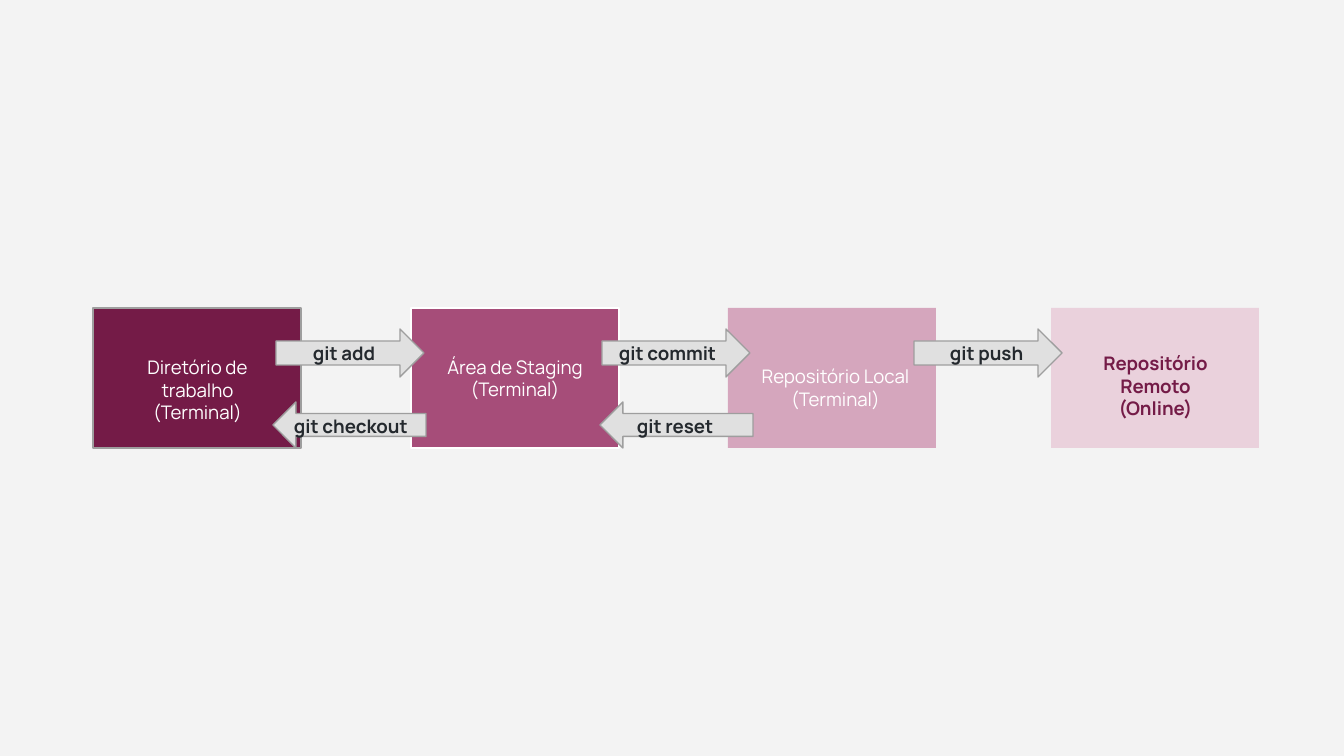
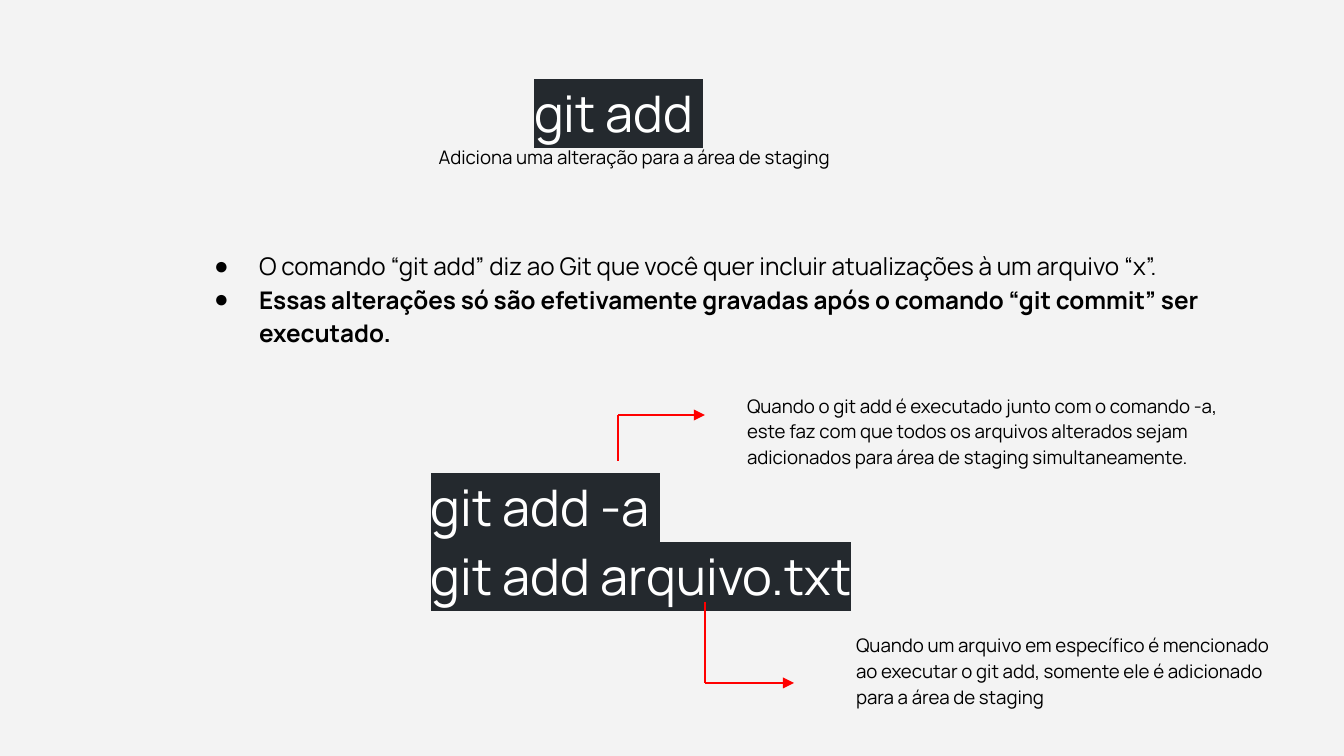
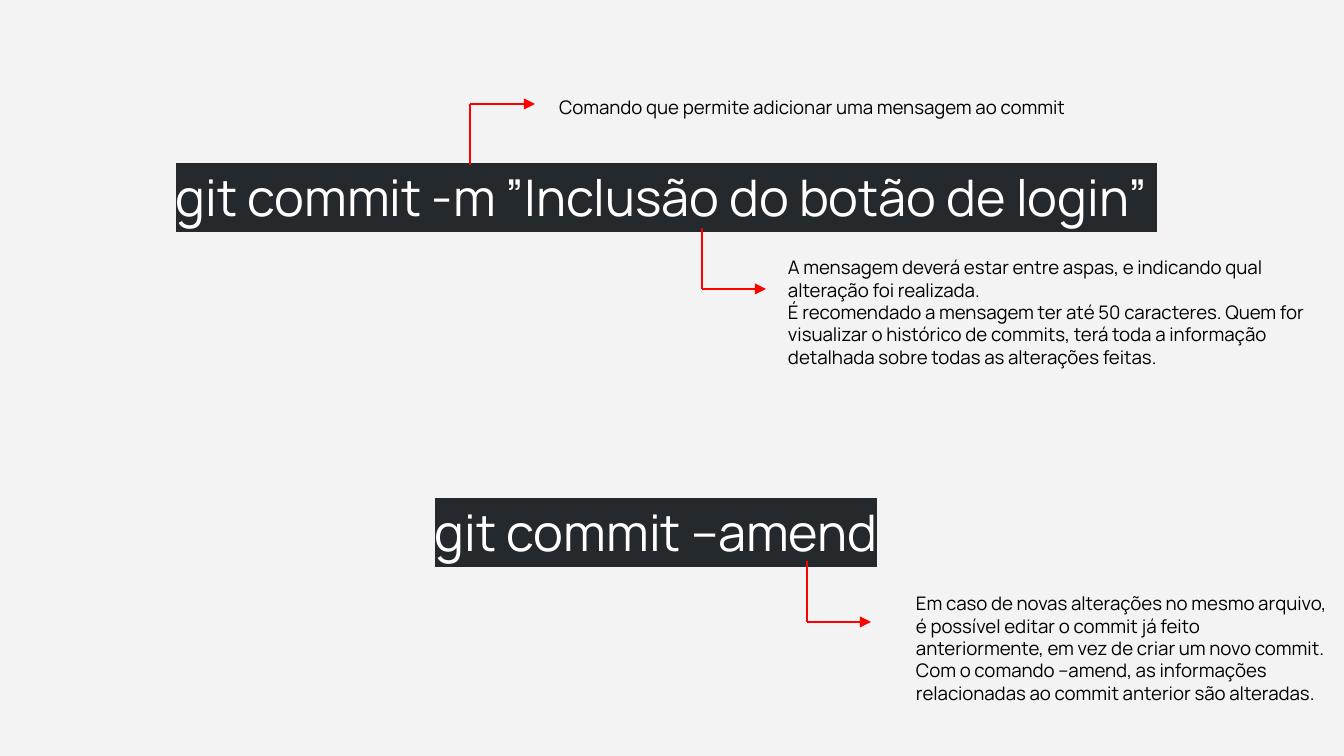
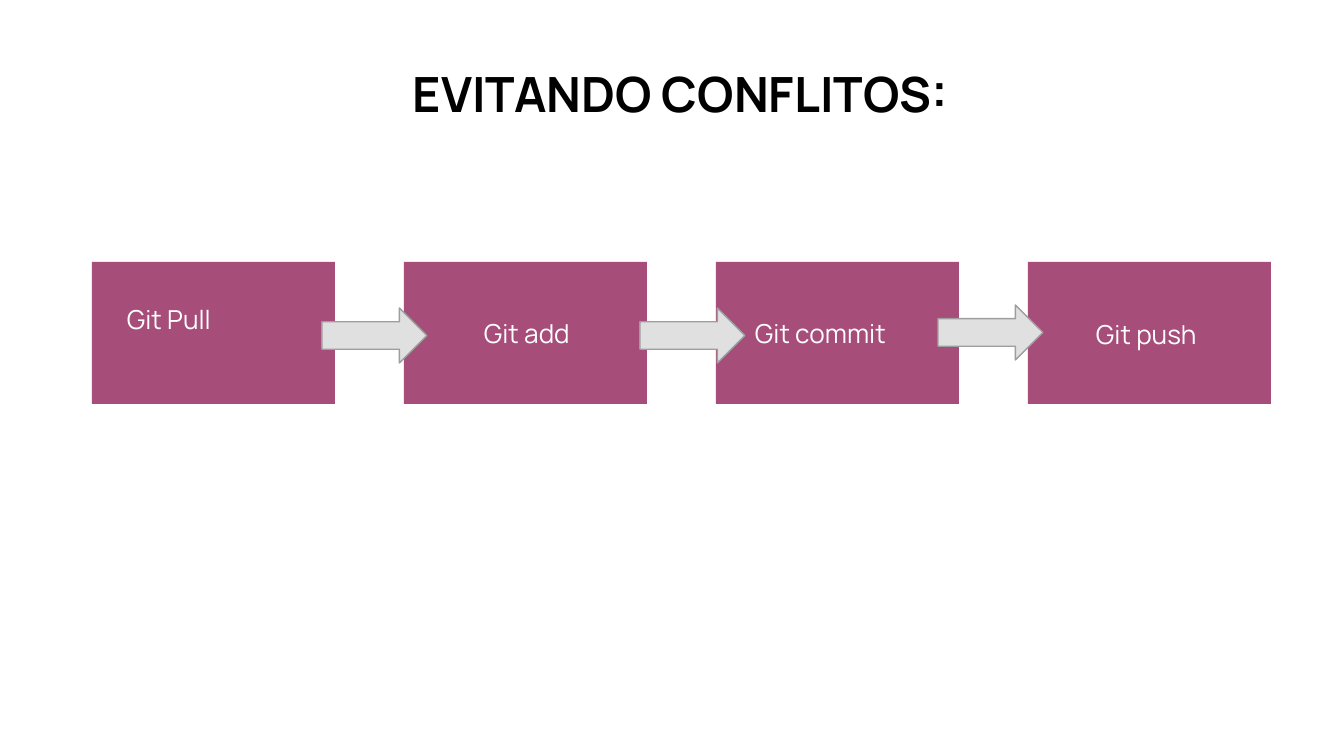
import pptx
import pptx.dml.color
import pptx.enum.shapes
import pptx.enum.text
import pptx.oxml.ns
import pptx.util
from lxml import etree

RGBColor = pptx.dml.color.RGBColor
MSO_SHAPE = pptx.enum.shapes.MSO_SHAPE
LEFT = pptx.enum.text.PP_ALIGN.LEFT
CENTER = pptx.enum.text.PP_ALIGN.CENTER
TOP = pptx.enum.text.MSO_ANCHOR.TOP
MIDDLE = pptx.enum.text.MSO_ANCHOR.MIDDLE
qn = pptx.oxml.ns.qn

# Shared look
FONT = "Manrope"
PAPER = RGBColor(0xF3, 0xF3, 0xF3)
WHITE = RGBColor(0xFF, 0xFF, 0xFF)
BLACK = RGBColor(0x00, 0x00, 0x00)
INK = RGBColor(0x24, 0x29, 0x2E)
RED = RGBColor(0xFF, 0x00, 0x00)
WINE = RGBColor(0x74, 0x1B, 0x47)
PLUM = RGBColor(0xA6, 0x4D, 0x79)
ROSE = RGBColor(0xD5, 0xA6, 0xBD)
BLUSH = RGBColor(0xEA, 0xD1, 0xDC)
SILVER = RGBColor(0xE0, 0xE0, 0xE0)
GREY = RGBColor(0x9E, 0x9E, 0x9E)

EMU_PER_PX = 914400 / 134.4
SLIDE_SIZE = (1344, 756)
INSET = 13
COMMAND_SIZE, NOTE_SIZE, LIST_SIZE, STEP_SIZE, TITLE_SIZE = 27, 10, 13, 14, 26
LOOSE = 1.15

# Slide 1: the areas a change passes through, and the commands between them
AREA_TOP, AREA_WIDTH, AREA_HEIGHT = 308, 208, 140
AREAS = [  # left, fill, outline
    (93, WINE, GREY),
    (411, PLUM, WHITE),
    (728, ROSE, None),
    (1051, BLUSH, None),
]
STAGING_LINES = ["Área de Staging", "(Terminal)"]
AREA_LABELS = [  # box, lines, colour, bold
    ((114, 343, 167, 65), ["Diretório de trabalho", "(Terminal)"], WHITE, False),
    ((711, 352, 249, 71), ["Repositório Local", "(Terminal)"], WHITE, False),
    ((1062, 339, 187, 65), ["Repositório Remoto", "(Online)"], WINE, True),
]
FORWARD = (MSO_SHAPE.RIGHT_ARROW, 329, 148, 48)  # preset, top, width, height
BACK = (MSO_SHAPE.LEFT_ARROW, 402, 153, 46)
MOVES = [  # direction, arrow left, command, command left, command width
    (FORWARD, 276, "git add", 300, 96),
    (FORWARD, 602, "git commit", 606, 140),
    (FORWARD, 914, "git push", 937, 122),
    (BACK, 273, "git checkout", 281, 153),
    (BACK, 600, "git reset", 624, 116),
]
MOVE_LABEL_HEIGHT = 36

# Slide 2: git add
ADD_TITLE = ((521, 60, 262, 130), "git add ")
ADD_SUMMARY = ((355, 133, 558, 34), "Adiciona uma alteração para a área de staging")
ADD_FACTS_BOX = (179, 234, 1052, 138)
ADD_FACTS = [
    "O comando “git add” diz ao Git que você quer incluir atualizações à um arquivo “x”.",
    "Essas alterações só são efetivamente gravadas após o comando “git commit” ser executado.",
]
ADD_VARIANTS = ((418, 454, 976 - 50, 91), ["git add -a ", "git add arquivo.txt"])
ADD_CALLOUTS = [  # pointer (start, corner, tip), note box, note
    ([(618, 461), (618, 415), (705, 415)], (734, 378, 528, 144),
     ["Quando o git add é executado junto com o comando -a, este faz com que todos os "
      "arquivos alterados sejam adicionados para área de staging simultaneamente."]),
    ([(705, 602), (705, 683), (794, 683)], (843, 618, 453, 91),
     ["Quando um arquivo em específico é mencionado ao executar o git add, somente ele "
      "é adicionado para a área de staging"]),
]

# Slide 3: git commit
COMMIT_TITLE = ((133, 153, 1067, 176), "git commit -m ”Inclusão do botão de login” ")
COMMIT_AMEND = ((304, 488, 704, 268), "git commit --amend")
COMMIT_CALLOUTS = [
    ([(470, 165), (470, 104), (535, 104)], (546, 83, 704, 50),
     ["Comando que permite adicionar uma mensagem ao commit"]),
    ([(702, 228), (702, 289), (766, 289)], (775, 243, 543, 441),
     ["A mensagem deverá estar entre aspas, e indicando qual alteração foi realizada.",
      "É recomendado a mensagem ter até 50 caracteres. Quem for visualizar o histórico de "
      "commits, terá toda a informação detalhada sobre todas as alterações feitas."]),
    ([(807, 561), (807, 622), (871, 622)], (903, 579, 441, 124),
     ["Em caso de novas alterações no mesmo arquivo, é possível editar o commit já feito "
      "anteriormente, em vez de criar um novo commit.",
      "Com o comando --amend, as informações relacionadas ao commit anterior são alteradas."]),
]

# Slide 4: avoiding conflicts
CONFLICT_TITLE = ((167, 51, 1028, 122), "EVITANDO CONFLITOS:")
STEP_LEFT, STEP_PITCH, STEP_TOP, STEP_WIDTH, STEP_HEIGHT = 92, 312, 262, 243, 142
STEPS = [  # text, indent inside the step, or a label box of its own
    ("Git Pull", None, (114, 290, 196, 70)),
    ("Git add", 67, None),
    ("Git commit", 26, None),
    ("Git push", None, (1083, 305, 177, 70)),
]
STEP_ARROWS = [(322, 308), (640, 308), (938, 305)]
STEP_ARROW_SIZE = (105, 55)


def px(length):
    return pptx.util.Emu(round(length * EMU_PER_PX))


def place(shape, box):
    shape.left, shape.top, shape.width, shape.height = map(px, box)


def write(shape, lines, size, colour, bold=False, align=LEFT, spacing=1.0,
          highlight=None, anchor=TOP):
    frame = shape.text_frame
    frame.text = "\n".join(lines)
    frame.word_wrap = True
    frame.auto_size = pptx.enum.text.MSO_AUTO_SIZE.NONE
    frame.vertical_anchor = anchor
    frame.margin_left = frame.margin_right = px(INSET)
    frame.margin_top = frame.margin_bottom = px(INSET)
    for paragraph in frame.paragraphs:
        paragraph.alignment = align
        paragraph.line_spacing = spacing
        paragraph.space_before = pptx.util.Pt(0)
        for run in paragraph.runs:
            run.font.name = FONT
            run.font.size = pptx.util.Pt(size)
            run.font.bold = bold
            run.font.color.rgb = colour
            if highlight is not None:
                mark = etree.Element(qn("a:highlight"))
                etree.SubElement(mark, qn("a:srgbClr"), val=str(highlight))
                run.font.fill  # the highlight follows the text fill
                run.font._element.find(qn("a:solidFill")).addnext(mark)


def add_text(slide, box, lines, size, colour, **style):
    write(slide.shapes.add_textbox(*map(px, box)), lines, size, colour, **style)


def write_command(shape, lines, **style):
    write(shape, lines, COMMAND_SIZE, WHITE, highlight=INK, **style)


def add_commands(slide, box, lines, **style):
    write_command(slide.shapes.add_textbox(*map(px, box)), lines, **style)


def add_block(slide, preset, box, fill, outline=None):
    block = slide.shapes.add_shape(preset, *map(px, box))
    block.shadow.inherit = False
    block.fill.solid()
    block.fill.fore_color.rgb = fill
    if outline is None:
        block.line.fill.background()
    else:
        block.line.color.rgb = outline
        block.line.width = pptx.util.Pt(0.75)
    return block


def add_pointer(slide, start, corner, tip):
    for begin, end in ((start, corner), (corner, tip)):
        stroke = slide.shapes.add_connector(
            pptx.enum.shapes.MSO_CONNECTOR.STRAIGHT, *map(px, begin + end))
        stroke.line.color.rgb = RED
        stroke.line.width = pptx.util.Pt(1.5)
        properties = stroke._element.spPr
        etree.SubElement(properties, qn("a:effectLst"))
        if end == tip:
            etree.SubElement(properties.find(qn("a:ln")), qn("a:tailEnd"), type="triangle")


def add_callouts(slide, callouts, spacing):
    for pointer, box, note in callouts:
        add_pointer(slide, *pointer)
        add_text(slide, box, note, NOTE_SIZE, BLACK, spacing=spacing)


def add_bullets(paragraph):
    properties = paragraph._p.get_or_add_pPr()
    properties.set("marL", str(px(67)))
    properties.set("indent", str(px(-45)))
    colour = etree.SubElement(properties, qn("a:buClr"))
    etree.SubElement(colour, qn("a:srgbClr"), val=str(BLACK))
    etree.SubElement(properties, qn("a:buChar"), char="●")


def build_areas(slide):
    areas = [add_block(slide, MSO_SHAPE.RECTANGLE,
                       (left, AREA_TOP, AREA_WIDTH, AREA_HEIGHT), fill, outline)
             for left, fill, outline in AREAS]
    write(areas[1], STAGING_LINES, NOTE_SIZE, WHITE, align=CENTER, anchor=MIDDLE)
    for box, lines, colour, bold in AREA_LABELS:
        add_text(slide, box, lines, NOTE_SIZE, colour, bold=bold, align=CENTER)
    for (preset, top, width, height), left, command, command_left, command_width in MOVES:
        add_block(slide, preset, (left, top, width, height), SILVER, GREY)
        add_text(slide, (command_left, top, command_width, MOVE_LABEL_HEIGHT), [command],
                 NOTE_SIZE, INK, bold=True)


def build_add(slide):
    facts = slide.placeholders[1]
    place(facts, ADD_FACTS_BOX)
    write(facts, ADD_FACTS, LIST_SIZE, BLACK, spacing=LOOSE)
    for paragraph in facts.text_frame.paragraphs:
        add_bullets(paragraph)
    facts.text_frame.paragraphs[1].runs[0].font.bold = True

    box, variants = ADD_VARIANTS
    add_commands(slide, box, variants, spacing=LOOSE)
    box, command = ADD_TITLE
    place(slide.shapes.title, box)
    write_command(slide.shapes.title, [command], spacing=LOOSE)
    box, summary = ADD_SUMMARY
    add_text(slide, box, [summary], NOTE_SIZE, BLACK, align=CENTER)
    add_callouts(slide, ADD_CALLOUTS, LOOSE)


def build_commit(slide):
    box, command = COMMIT_TITLE
    place(slide.shapes.title, box)
    write_command(slide.shapes.title, [command], align=CENTER)
    box, command = COMMIT_AMEND
    add_commands(slide, box, [command], align=CENTER)
    add_callouts(slide, COMMIT_CALLOUTS, 1.0)


def build_conflicts(slide):
    slide.background.fill.solid()
    slide.background.fill.fore_color.rgb = WHITE
    box, title = CONFLICT_TITLE
    place(slide.shapes.title, box)
    write(slide.shapes.title, [title], TITLE_SIZE, BLACK, bold=True, align=CENTER)
    for index, (text, indent, label_box) in enumerate(STEPS):
        left = STEP_LEFT + index * STEP_PITCH
        step = add_block(slide, MSO_SHAPE.RECTANGLE,
                         (left, STEP_TOP, STEP_WIDTH, STEP_HEIGHT), PLUM)
        if label_box:
            add_text(slide, label_box, [text], STEP_SIZE, WHITE)
        else:
            write(step, [text], STEP_SIZE, WHITE, anchor=MIDDLE)
            step.text_frame.paragraphs[0]._p.get_or_add_pPr().set("indent", str(px(indent)))
    for corner in STEP_ARROWS:
        add_block(slide, MSO_SHAPE.RIGHT_ARROW, corner + STEP_ARROW_SIZE, SILVER, GREY)


def main():
    deck = pptx.Presentation()
    deck.slide_width, deck.slide_height = map(px, SLIDE_SIZE)
    paper = deck.slide_master.background.fill
    paper.solid()
    paper.fore_color.rgb = PAPER
    title_and_list, title_only, blank = (deck.slide_layouts[i] for i in (1, 5, 6))
    for layout, build in (
        (blank, build_areas),
        (title_and_list, build_add),
        (title_only, build_commit),
        (title_only, build_conflicts),
    ):
        build(deck.slides.add_slide(layout))
    deck.save("out.pptx")


if __name__ == "__main__":
    main()
